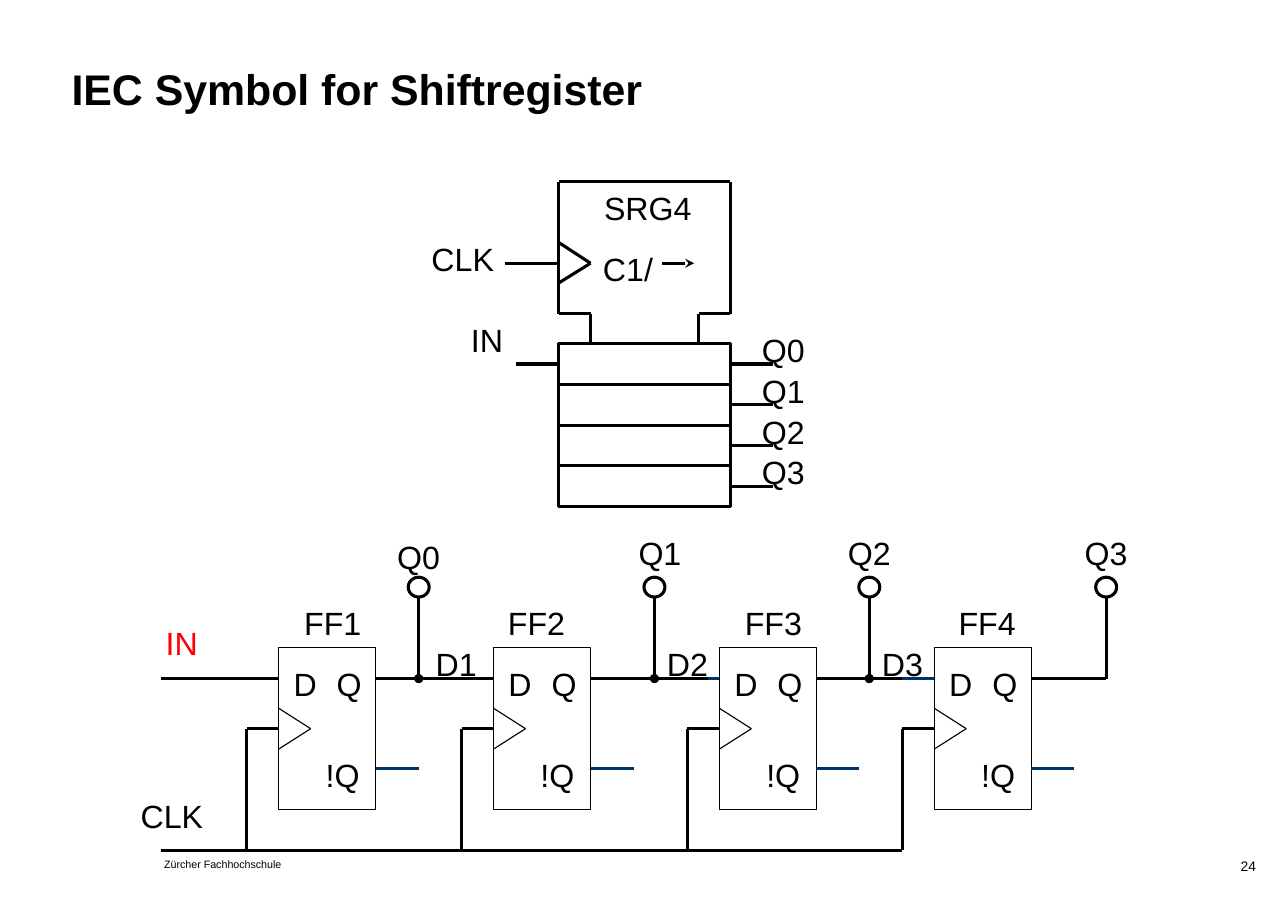
from itertools import pairwise
from lxml import etree
from pptx import Presentation
from pptx.dml.color import RGBColor
from pptx.enum import shapes, text
from pptx.oxml import ns

BLACK = RGBColor(0x00, 0x00, 0x00)
NAVY = RGBColor(0x00, 0x33, 0x66)
RED = RGBColor(0xFF, 0x00, 0x00)
PX = 9144
LEFT, RIGHT = 1, 3
THICK, THIN = 2, 0.75

TITLE = "IEC Symbol for Shiftregister"
FOOTER = "Zürcher Fachhochschule"
PAGE_NUMBER = "24"

REGISTER = dict(left=507, top=312, width=156, row=37)
REGISTER_OUTPUTS = ["Q0", "Q1", "Q2", "Q3"]
CONTROL_BLOCK = [(536, 312), (536, 285), (507, 285), (507, 165),
                 (663, 165), (663, 285), (634, 285), (634, 312)]
CONTROL_CLOCK = [(507, 220), (536, 239), (507, 257)]
REGISTER_LABELS = [("CLK", 420, 211), ("IN", 442, 285), ("SRG4", 588, 165), ("C1/", 570, 220)]

FLIP_FLOPS = [("FF1", 253, 302), ("FF2", 448, 487), ("FF3", 653, 702), ("FF4", 848, 896)]
FF_TOP, FF_WIDTH, FF_HEIGHT = 588, 88, 147
FF_PINS = [("D", 24, 597), ("Q", 64, 597), ("!Q", 58, 680)]
DATA_Y, INVERTED_Y, CLOCK_Y = 616, 698, 772
DATA_WIRES = [(146, 253, BLACK), (341, 448, BLACK), (536, 643, BLACK), (643, 653, NAVY),
              (741, 819, BLACK), (819, 848, NAVY), (936, 1004, BLACK)]
TAPS = [("Q0", 380, 380, 482), ("Q1", 594, 599, 478),
        ("Q2", 789, 789, 478), ("Q3", 1004, 1004, 478)]
TAP_TOP, TAP_WIDTH, TAP_HEIGHT = 524, 19, 18
CHAIN_LABELS = [("D1", 414, 579), ("D2", 624, 579), ("D3", 819, 579), ("CLK", 156, 717)]

deck = Presentation()
deck.slide_width, deck.slide_height = 1169 * PX, 827 * PX
slide = deck.slides.add_slide(deck.slide_layouts[5])


def emu(*lengths):
    return [round(length * PX) for length in lengths]


def write(frame, words, size, align, color=BLACK, bold=False, inset_top=0):
    settings = dict(margin_left=0, margin_right=0, margin_top=inset_top * PX, margin_bottom=0,
                    word_wrap=True, auto_size=text.MSO_AUTO_SIZE.NONE,
                    vertical_anchor=text.MSO_ANCHOR.TOP)
    for key, value in settings.items():
        setattr(frame, key, value)
    frame.text = words
    paragraph = frame.paragraphs[0]
    paragraph.alignment = align
    for key, value in dict(size=round(size * 12700), name="Arial", bold=bold).items():
        setattr(paragraph.runs[0].font, key, value)
    paragraph.runs[0].font.color.rgb = color
    return paragraph


def label(words, center, top, color=BLACK):
    box = slide.shapes.add_textbox(*emu(center - 60, top, 120, 44))
    write(box.text_frame, words, 21, text.PP_ALIGN.CENTER, color, inset_top=6)


def outline(kind, left, top, width, height, weight):
    shape = slide.shapes.add_shape(kind, *emu(left, top, width, height))
    shape.shadow.inherit = False
    shape.fill.background()
    shape.line.color.rgb = BLACK
    shape.line.width = round(weight * 12700)
    return shape


def wire(start, end, color=BLACK, weight=THICK, begin_at=None, head=None, tail=None):
    line = slide.shapes.add_connector(shapes.MSO_CONNECTOR.STRAIGHT, *emu(*start, *end))
    if begin_at:
        line.begin_connect(*begin_at)
    line.line.color.rgb = color
    line.line.width = round(weight * 12700)
    outline_xml = line.line._get_or_add_ln()
    for tag, style in (("a:headEnd", head), ("a:tailEnd", tail)):
        if style:
            etree.SubElement(outline_xml, ns.qn(tag), type=style)
    etree.SubElement(line._element.spPr, ns.qn("a:effectLst"))


def chain(points, weight=THICK):
    for start, end in pairwise(points):
        wire(start, end, weight=weight)


title = slide.shapes.title
for side, length in dict(left=65, top=50, width=994, height=138).items():
    setattr(title, side, length * PX)
write(title.text_frame, TITLE, 28, text.PP_ALIGN.LEFT, bold=True).line_spacing = 1.14

footer = slide.shapes.add_textbox(*emu(149, 779, 132, 10))
write(footer.text_frame, FOOTER, 7, text.PP_ALIGN.LEFT)
page = slide.shapes.add_textbox(*emu(1007, 779, 133, 21))
write(page.text_frame, PAGE_NUMBER, 9, text.PP_ALIGN.RIGHT)

chain(CONTROL_BLOCK)
chain(CONTROL_CLOCK)
wire((507, 239), (458, 239))
wire((601, 239), (630, 239), tail="stealth")

register_right = REGISTER["left"] + REGISTER["width"]
for index, output in enumerate(REGISTER_OUTPUTS):
    row_top = REGISTER["top"] + index * REGISTER["row"]
    middle = row_top + REGISTER["row"] / 2
    stage = outline(shapes.MSO_SHAPE.RECTANGLE, REGISTER["left"], row_top,
                    REGISTER["width"], REGISTER["row"], THICK)
    wire((register_right, middle), (702, middle), begin_at=(stage, RIGHT))
    if index == 0:
        wire((REGISTER["left"], middle), (468, middle), begin_at=(stage, LEFT))
    label(output, 711, row_top - 18)
for words, center, top in REGISTER_LABELS:
    label(words, center, top)

for start, end, color in DATA_WIRES:
    wire((start, DATA_Y), (end, DATA_Y), color)
wire((819, CLOCK_Y), (146, CLOCK_Y))

clock_pin = FF_TOP + FF_HEIGHT / 2
for name, left, name_center in FLIP_FLOPS:
    flip_flop = outline(shapes.MSO_SHAPE.RECTANGLE, left, FF_TOP, FF_WIDTH, FF_HEIGHT, THIN)
    chain([(left, 643), (left + 29, clock_pin), (left, 680)], THIN)
    wire((left, clock_pin), (left - 29, clock_pin), begin_at=(flip_flop, LEFT))
    wire((left - 29, clock_pin), (left - 29, CLOCK_Y))
    wire((left + FF_WIDTH, INVERTED_Y), (left + FF_WIDTH + 39, INVERTED_Y), NAVY)
    label(name, name_center, 542)
    for pin, offset, top in FF_PINS:
        label(pin, left + offset, top)

for name, x, name_center, name_top in TAPS:
    wire((x, DATA_Y), (x, TAP_TOP + TAP_HEIGHT), head=None if name == "Q3" else "oval")
    outline(shapes.MSO_SHAPE.OVAL, x - TAP_WIDTH / 2, TAP_TOP, TAP_WIDTH, TAP_HEIGHT, THICK)
    label(name, name_center, name_top)
for words, center, top in CHAIN_LABELS:
    label(words, center, top)
label("IN", 165, 560, RED)

deck.save("out.pptx")
